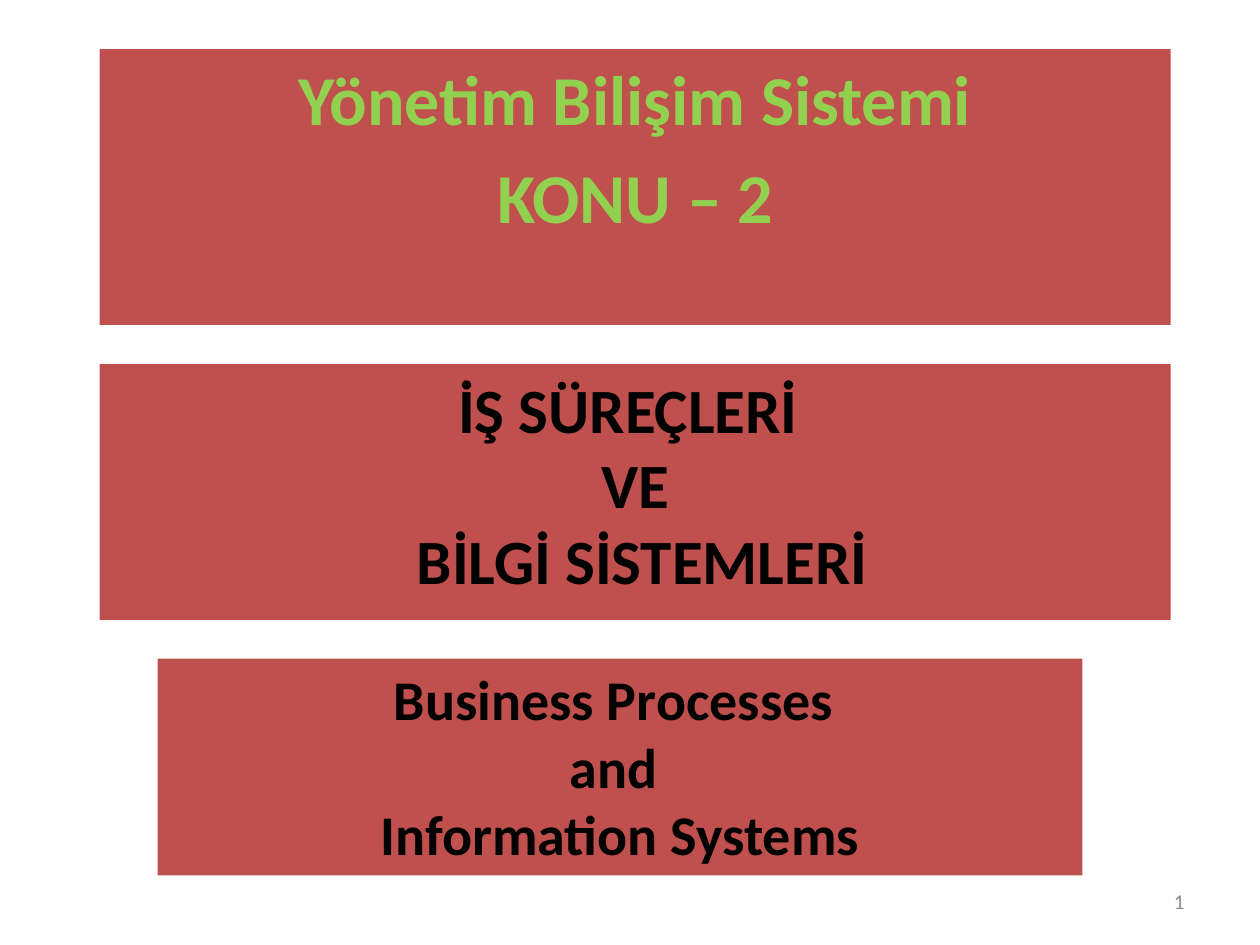
from dataclasses import dataclass

from pptx import Presentation
from pptx.dml.color import RGBColor as Rgb
from pptx.enum.shapes import MSO_SHAPE as Kind
from pptx.enum.text import MSO_ANCHOR as Anchor, PP_ALIGN as Align
from pptx.util import Cm, Pt


@dataclass(frozen=True)
class Theme:
    font: str = "Calibri"
    panel: str = "C0504D"
    course: str = "92D050"
    dark: str = "000000"
    muted: str = "8C8C8C"
    course_size: int = 40
    title_size: int = 36
    sub_size: int = 32
    page_size: int = 12


class Page:
    """Adds styled elements to one slide."""

    def __init__(self, slide, theme):
        self.slide = slide
        self.theme = theme

    def label(self, frame, lines, size, color, bold=True, align=Align.CENTER, gap=0):
        """Fill a frame, one paragraph a line, with gap points between them."""
        frame.word_wrap = True
        frame.text = "\n".join(lines)
        for i, para in enumerate(frame.paragraphs):
            para.alignment = align
            para.space_before = Pt(gap if i else 0)
            for run in para.runs:
                font = run.font
                font.name = self.theme.font
                font.size = Pt(size)
                font.bold = bold
                font.color.rgb = Rgb.from_string(color)

    def panel(self, box, lines, size, color, gap=0):
        shape = self.slide.shapes.add_shape(Kind.RECTANGLE, *map(Cm, box))
        shape.shadow.inherit = False
        shape.fill.solid()
        shape.fill.fore_color.rgb = Rgb.from_string(self.theme.panel)
        shape.line.fill.background()
        shape.text_frame.vertical_anchor = Anchor.TOP
        self.label(shape.text_frame, lines, size, color, gap=gap)

    def number(self, box, text):
        frame = self.slide.shapes.add_textbox(*map(Cm, box)).text_frame
        frame.vertical_anchor = Anchor.MIDDLE
        self.label(frame, [text], self.theme.page_size, self.theme.muted,
                   bold=False, align=Align.RIGHT)


def main():
    deck = Presentation()
    deck.slide_width, deck.slide_height = Cm(25.4), Cm(19.05)
    theme = Theme()
    page = Page(deck.slides.add_slide(deck.slide_layouts[6]), theme)

    left, width = 2.01, 21.59
    page.panel((left, 7.34, width, 5.16),
               ["İŞ SÜREÇLERİ ", "VE", " BİLGİ SİSTEMLERİ"],
               theme.title_size, theme.dark)
    page.panel((left, 0.99, width, 5.56),
               ["Yönetim Bilişim Sistemi", "KONU – 2"],
               theme.course_size, theme.course, gap=theme.course_size * 0.2)
    page.panel((3.18, 13.28, 18.64, 4.37),
               ["Business Processes ", "and ", "Information Systems"],
               theme.sub_size, theme.dark)
    page.number((18.2, 17.66, 5.93, 1.01), "1")

    deck.save("out.pptx")


if __name__ == "__main__":
    main()
